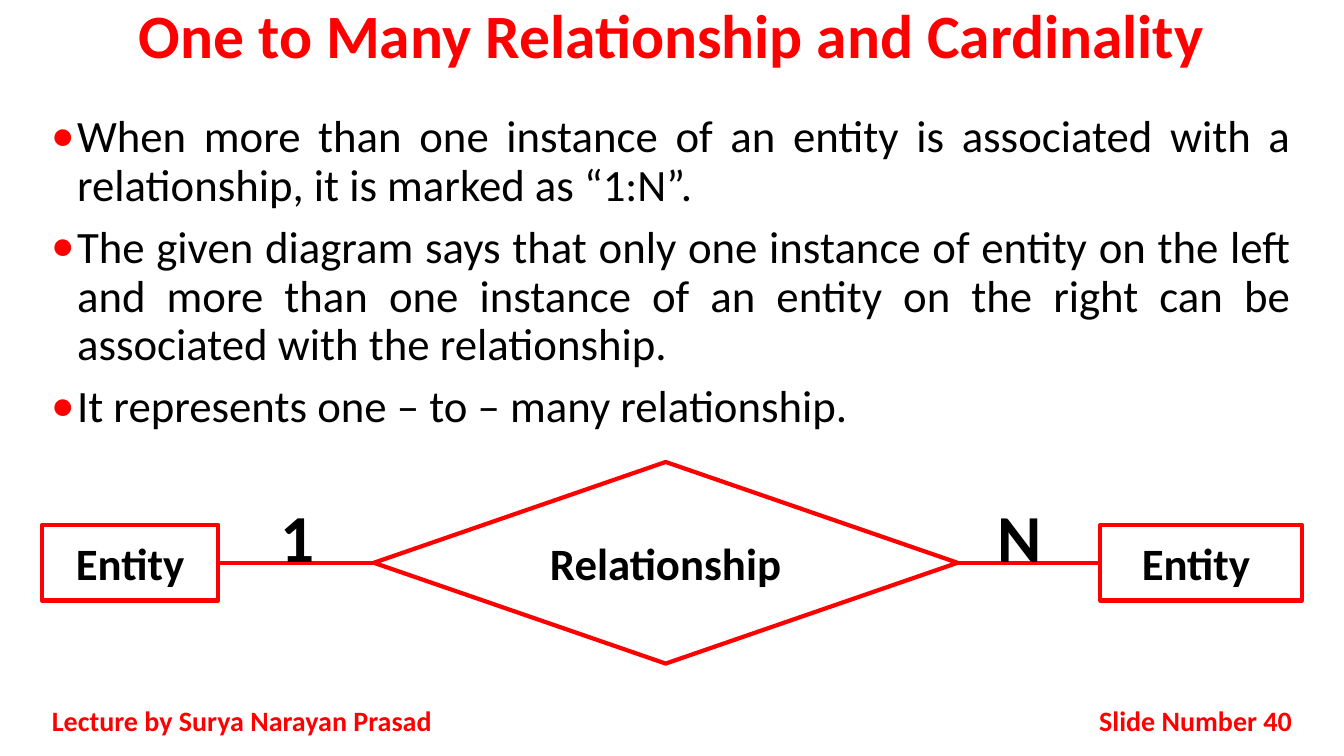
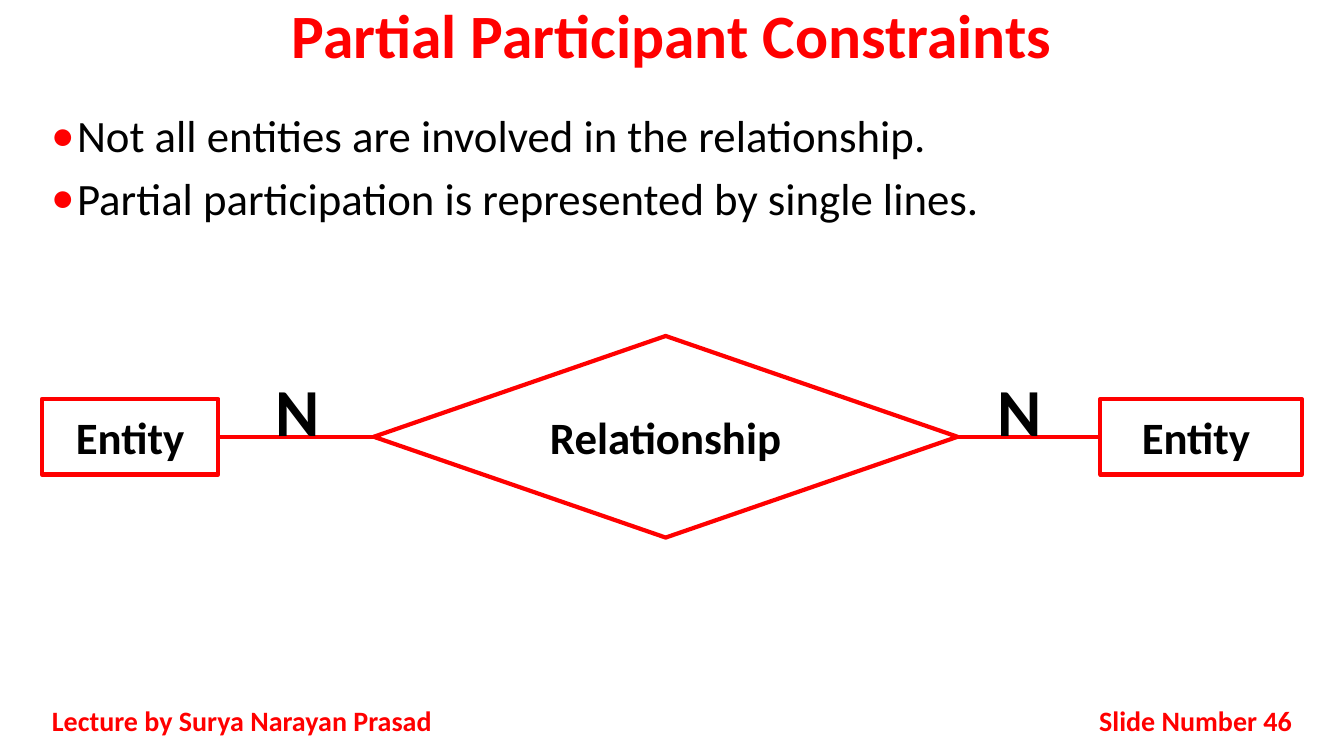
from lxml import etree
from pptx import Presentation
from pptx.dml.color import RGBColor
from pptx.enum.shapes import MSO_CONNECTOR, MSO_SHAPE
from pptx.enum.text import MSO_ANCHOR, PP_ALIGN
from pptx.oxml.ns import qn
from pptx.util import Pt

RED = RGBColor(0xFF, 0x00, 0x00)
BLACK = RGBColor(0x00, 0x00, 0x00)
FONT = "Calibri"
RECT, DIAMOND = MSO_SHAPE.RECTANGLE, MSO_SHAPE.FLOWCHART_DECISION
LINE = MSO_CONNECTOR.STRAIGHT
TOP, MIDDLE = MSO_ANCHOR.TOP, MSO_ANCHOR.MIDDLE
CENTER, RIGHT, JUSTIFY = PP_ALIGN.CENTER, PP_ALIGN.RIGHT, PP_ALIGN.JUSTIFY
LEFT_SIDE, RIGHT_SIDE = 1, 3

WIDTH, HEIGHT = 960, 540
MARGIN = 30
INNER = WIDTH - 2 * MARGIN
STROKE = 3

# Number, title, bullets, middle of the diagram, label on each side
SLIDES = [
    (40, "One to Many Relationship and Cardinality", [
        "When more than one instance of an entity is associated with a "
        "relationship, it is marked as “1:N”.",
        "The given diagram says that only one instance of entity on the left "
        "and more than one instance of an entity on the right can be "
        "associated with the relationship.",
        "It represents one – to – many relationship.",
    ], 402, ("1", "N")),
    (46, "Partial Participant Constraints", [
        "Not all entities are involved in the relationship.",
        "Partial participation is represented by single lines.",
    ], 312, ("N", "N")),
]


def write(shape, lines, size, color, bold=True, align=CENTER, anchor=TOP):
    frame = shape.text_frame
    frame.word_wrap = True
    frame.vertical_anchor = anchor
    frame.text = "\n".join(lines)
    for para in frame.paragraphs:
        para.alignment = align
        font = para.font
        font.name, font.size, font.bold = FONT, Pt(size), bold
        font.color.rgb = color
    return frame.paragraphs


def add_text(slide, box, lines, size, color, **style):
    shape = slide.shapes.add_textbox(*map(Pt, box))
    return write(shape, lines, size, color, **style)


def add_bullet(para):
    props = para._p.get_or_add_pPr()
    props.set("marL", str(Pt(18)))
    props.set("indent", str(-Pt(18)))
    color = etree.SubElement(props, qn("a:buClr"))
    etree.SubElement(color, qn("a:srgbClr"), val=str(RED))
    etree.SubElement(props, qn("a:buSzPct"), val="81000")
    etree.SubElement(props, qn("a:buFont"), typeface=FONT)
    etree.SubElement(props, qn("a:buChar"), char="●")


def add_title(slide, title):
    for para in add_text(slide, (0, 0, WIDTH, 60), [title], 44, RED):
        para.line_spacing = 0.9


def add_body(slide, lines):
    paras = add_text(slide, (MARGIN, 78, INNER, 402), lines, 32, BLACK,
                     bold=False, align=JUSTIFY)
    for para in paras:
        para.line_spacing = 0.9
        para.space_before = Pt(10)
        add_bullet(para)


def add_footer(slide, number):
    top, high, wide = 500, 29, 198
    add_text(slide, (MARGIN, top, 300, high), ["Lecture by Surya Narayan Prasad"],
             20, RED, align=JUSTIFY, anchor=MIDDLE)
    add_text(slide, (WIDTH - MARGIN - wide, top, wide, high),
             [f"Slide Number {number}"], 20, RED, align=RIGHT, anchor=MIDDLE)


def add_node(slide, kind, left, mid, wide, high, text):
    box = (left, mid - high / 2, wide, high)
    node = slide.shapes.add_shape(kind, *map(Pt, box))
    node.shadow.inherit = False
    node.fill.background()
    node.line.color.rgb = RED
    node.line.width = Pt(STROKE)
    write(node, [text], 32, BLACK, anchor=MIDDLE)
    return node


def add_link(slide, start, end):
    link = slide.shapes.add_connector(LINE, 0, 0, 0, 0)
    link.begin_connect(start, RIGHT_SIDE)
    link.end_connect(end, LEFT_SIDE)
    link.line.color.rgb = RED
    link.line.width = Pt(STROKE)
    etree.SubElement(link._element.spPr, qn("a:effectLst"))


def add_diagram(slide, mid, labels):
    first = add_node(slide, RECT, MARGIN, mid, 126, 54, "Entity")
    # The trailing space sets this word slightly left of centre
    second = add_node(slide, RECT, WIDTH - MARGIN - 144, mid, 144, 54, "Entity ")
    bond = add_node(slide, DIAMOND, 267, mid, 417, 144, "Relationship")
    add_link(slide, first, bond)
    add_link(slide, bond, second)
    for left, label in zip((161, 677), labels):
        add_text(slide, (left, mid - 52, 103, 66), [label], 48, BLACK)


def main():
    deck = Presentation()
    deck.slide_width, deck.slide_height = Pt(WIDTH), Pt(HEIGHT)
    blank = deck.slide_layouts[6]
    for number, title, lines, mid, labels in SLIDES:
        slide = deck.slides.add_slide(blank)
        add_title(slide, title)
        add_body(slide, lines)
        add_footer(slide, number)
        add_diagram(slide, mid, labels)
    deck.save("out.pptx")


if __name__ == "__main__":
    main()
